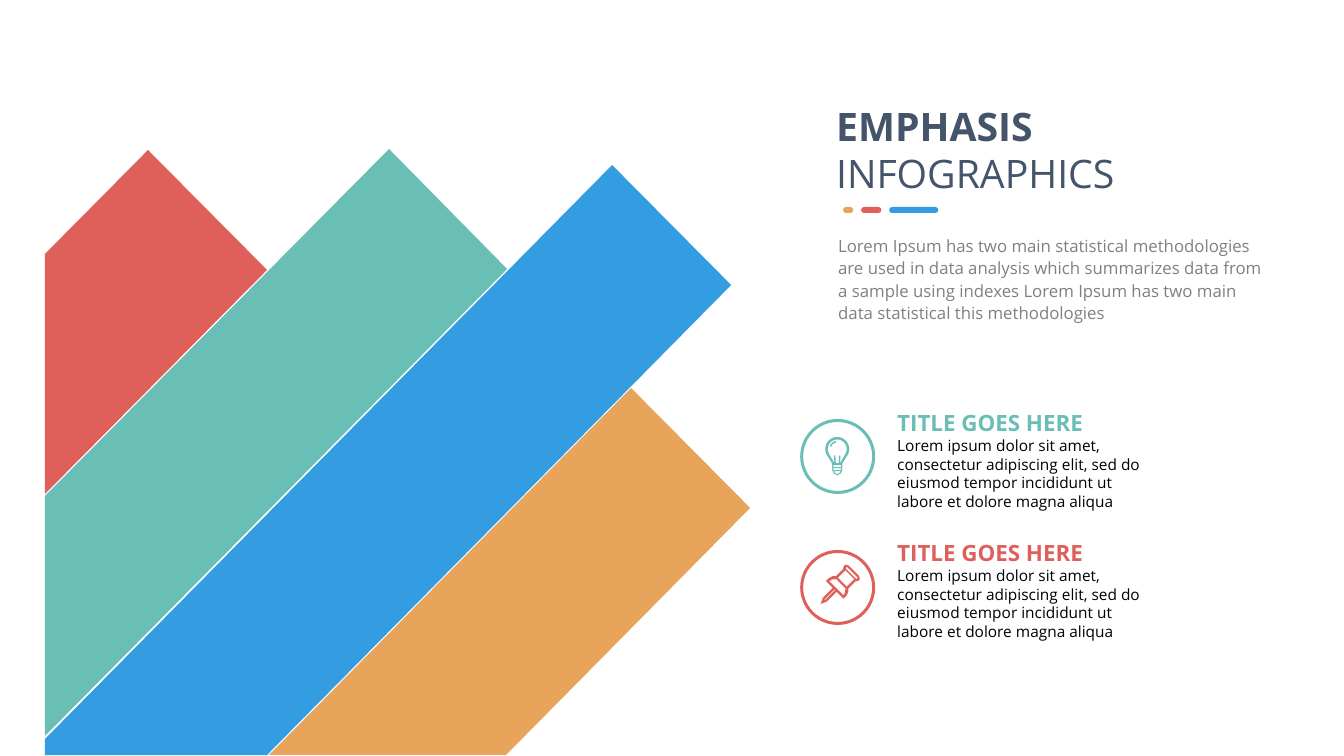
import math
import pptx
import pptx.util
import pptx.dml.color
import pptx.enum.shapes
import pptx.enum.text

PX = 914400 / 100.8
FONT = "Open Sans"
HEX = {"red": "DF5F5A", "teal": "69BEB6", "blue": "349DE1", "sand": "E8A45B",
       "navy": "44546A", "gray": "808080", "black": "000000"}

# Content
TITLE = ["EMPHASIS", "INFOGRAPHICS"]
INTRO = ("Lorem Ipsum has two main statistical methodologies are used in data "
         "analysis which summarizes data from a sample using indexes Lorem Ipsum "
         "has two main data statistical this methodologies")
HEAD = "TITLE GOES HERE"
BODY = ("Lorem ipsum dolor sit amet, consectetur adipiscing elit, sed do "
        "eiusmod tempor incididunt ut labore et dolore magna aliqua")
BANDS = [
    ("red", [(45, 494), (267, 270), (148, 150), (45, 254)]),
    ("teal", [(45, 736), (507, 269), (389, 149), (45, 496)]),
    ("blue", [(267, 755), (731, 285), (612, 165), (45, 739), (45, 755)]),
    ("sand", [(506, 755), (750, 508), (631, 388), (269, 755)]),
]
PILLS = [("sand", 10), ("red", 20), ("blue", 49)]


def arc(rad, start, end, mid=-70):
    """Points on a circle around (0, mid), in 10-degree steps."""
    step = 10 if end > start else -10
    return [(round(rad * math.cos(math.radians(a))),
             round(mid + rad * math.sin(math.radians(a))))
            for a in range(start, end + step, step)]


def mirror(half):
    return half + [(-x, y) for x, y in reversed(half)]


# Icon outlines: right halves around the icon centre, in tenths of a px
BULB = [mirror(half) for half in [
    arc(120, -90, 30) + [(52, 72), (55, 80), (48, 91), (52, 101), (48, 121),
                         (52, 131), (45, 152), (30, 180), (0, 192)],
    arc(95, -90, 20) + [(82, -20), (34, 61), (28, 71), (33, 2), (26, -8),
                        (18, 2), (14, 71)],
    [(35, 92), (42, 101), (35, 111)],
    [(35, 122), (42, 131), (35, 141)],
    [(32, 152), (20, 172), (0, 180)],
]]
GLINT = [arc(80, 200, 260) + arc(65, 260, 200)]
PIN = [mirror(half) for half in [
    [(0, -232), (70, -232), (95, -220), (105, -205), (102, -190), (88, -167),
     (88, -68), (112, -42), (124, -5), (125, 39), (28, 39), (28, 176), (0, 240)],
    [(0, -210), (72, -210), (80, -200), (67, -188)],
    [(62, -175), (62, -68)],
    [(62, -48), (92, -18), (100, 17)],
    [(5, 39), (5, 176), (0, 182)],
]]
ITEMS = [("teal", 456, 409, [BULB, GLINT], 0), ("red", 587, 539, [PIN], 45)]

deck = pptx.Presentation()
deck.slide_width = pptx.util.Inches(13.33)
deck.slide_height = pptx.util.Inches(7.5)
slide = deck.slides.add_slide(deck.slide_layouts[6])


def emu(*vals):
    return [round(v * PX) for v in vals]


def rgb(name):
    return pptx.dml.color.RGBColor.from_string(HEX[name])


def paint(shape, color):
    shape.shadow.inherit = False
    shape.fill.solid()
    shape.fill.fore_color.rgb = rgb(color)
    shape.line.fill.background()
    return shape


def preset(host, kind, box, color, adj):
    kind = getattr(pptx.enum.shapes.MSO_SHAPE, kind)
    shape = paint(host.add_shape(kind, *emu(*box)), color)
    shape.adjustments[0] = adj


def outline(host, loops, color, x=0, y=0, unit=1):
    first, *holes = loops
    pen = host.build_freeform(*first[0], scale=PX * unit)
    pen.add_line_segments(first[1:], close=True)
    for loop in holes:
        pen.move_to(*loop[0])
        pen.add_line_segments(loop[1:], close=True)
    return paint(pen.convert_to_shape(*emu(x, y)), color)


def write(box, paras, wrap=True, inset=None, anchor="TOP", lead=None, after=None):
    """Each paragraph is a list of lines: (text, size, color, bold)."""
    shape = slide.shapes.add_textbox(*emu(*box))
    frame = shape.text_frame
    frame.word_wrap = wrap
    frame.auto_size = pptx.enum.text.MSO_AUTO_SIZE.SHAPE_TO_FIT_TEXT
    frame.vertical_anchor = getattr(pptx.enum.text.MSO_ANCHOR, anchor)
    if inset:
        (frame.margin_left, frame.margin_top,
         frame.margin_right, frame.margin_bottom) = emu(*inset)
    for i, lines in enumerate(paras):
        para = frame.add_paragraph() if i else frame.paragraphs[0]
        if lead:
            para.line_spacing = lead
        if after:
            para.space_after = pptx.util.Pt(after)
        for j, (text, size, color, bold) in enumerate(lines):
            if j:
                para.add_line_break()
            run = para.add_run()
            run.text = text
            run.font.name = FONT
            run.font.size = pptx.util.Pt(size)
            run.font.bold = bold
            run.font.color.rgb = rgb(color)


# Diagonal bands
bands = slide.shapes.add_group_shape().shapes
for color, points in BANDS:
    outline(bands, [points], color)

# Icons in rings, with their texts
for color, mid, top, parts, turn in ITEMS:
    icon = slide.shapes.add_group_shape().shapes
    for loops in parts:
        outline(icon, loops, color, 837, mid, 0.1).rotation = turn
    preset(icon, "DONUT", (800, mid - 37, 75, 75), color, 0.04)
    write((897, top, 246, 102),
          [[(HEAD, 16, color, True), (BODY, 11, "black", False)]],
          inset=(0, 0, 0, 0), anchor="MIDDLE", after=12)

# Title, pills and intro
write((826, 97, 301, 105),
      [[(text, 28, "navy", i == 0)] for i, text in enumerate(TITLE)], wrap=False)
pills = slide.shapes.add_group_shape().shapes
left = 843
for color, width in PILLS:
    preset(pills, "ROUNDED_RECTANGLE", (left, 207, width, 6), color, 0.5)
    left += width + 8
write((826, 228, 456, 102), [[(INTRO, 12, "gray", False)]],
      inset=(12, 6, 12, 6), lead=1.1)

deck.save("out.pptx")
